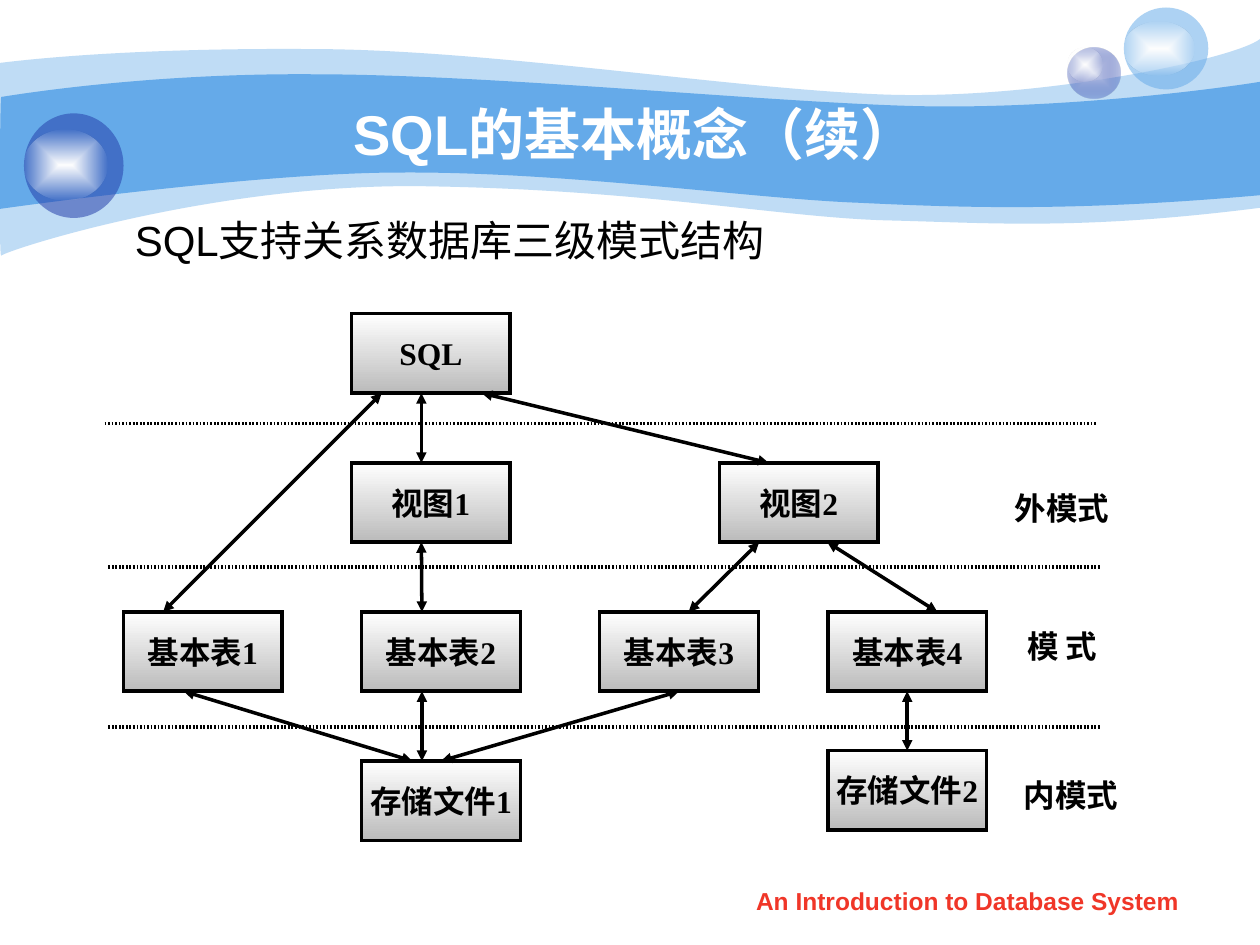
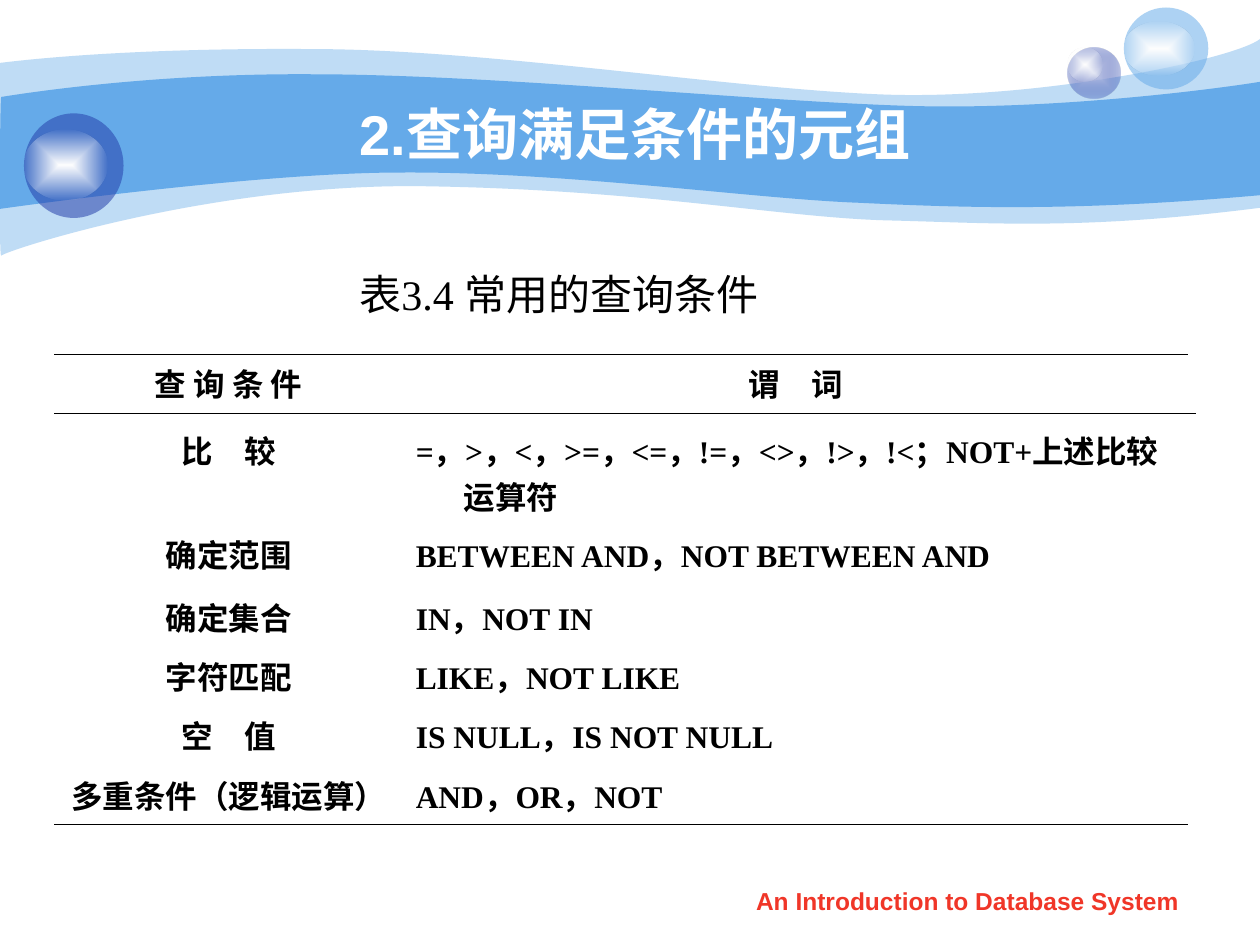
from pptx import Presentation
from pptx.dml.color import RGBColor
from pptx.enum.shapes import MSO_CONNECTOR, MSO_SHAPE
from pptx.enum.text import MSO_ANCHOR, MSO_AUTO_SIZE, PP_ALIGN
from pptx.oxml import parse_xml
from pptx.oxml.ns import nsdecls, qn
from pptx.util import Inches, Pt

# Slide grid: 10 columns by 7.5 rows of one unit
COLS, ROWS, UNIT = 10, 7.5, Inches(1)

BLACK, WHITE, SKY, NAVY, LILAC, GREY, RED = (
    "000000", "FFFFFF", "65AAE9", "233DA9", "C7CEE9", "BBBBBB", "F03628")
PLAIN_TABLE = "{2D5ABB26-0587-4C30-8999-92F81FD0307C}"

# Text formats
TITLE = {"name": "Arial", "size": Pt(32), "bold": True, "color": WHITE}
FOOTER = {"name": "Arial", "size": Pt(14), "bold": True, "color": RED}
LEAD = {"name": "Arial", "size": Pt(24), "bold": False, "color": BLACK}
CAPTION = {**LEAD, "name": "Times New Roman"}
LABEL = {"name": "Times New Roman", "size": Pt(18), "bold": True, "color": BLACK}
CENTER = {"alignment": PP_ALIGN.CENTER}

# Waves: start point, then curves (six numbers) or straight edges (two)
PALE_WAVE = [
    (0, 0.5), (0.24, 0.47, 1.07, 0.38, 2.47, 0.39),
    (3.86, 0.39, 5.75, 0.7, 6.99, 0.75), (8.22, 0.8, 9.8, 0.47, 10, 0.31),
    (10, 1.65), (8.58, 1.83, 7.87, 1.77, 7.05, 1.75),
    (6.22, 1.73, 5.15, 1.51, 3.43, 1.48), (1.72, 1.44, 0.04, 1.99, 0.01, 2.03),
    (-0.01, 2.08, 0, 0.75, 0, 0.5)]
BLUE_WAVE = [
    (0.01, 0.77), (0.02, 0.77, 1.1, 0.58, 2.48, 0.59),
    (3.86, 0.59, 5.95, 0.8, 7.18, 0.84), (8.41, 0.88, 9.76, 0.69, 10, 0.65),
    (10, 1.55), (8.53, 1.68, 7.65, 1.65, 6.82, 1.61),
    (5.99, 1.58, 4.47, 1.36, 3.17, 1.37), (2.03, 1.37, -0.02, 1.66, -0.01, 1.66),
    (0, 1.66, 0, 0.77, 0.01, 0.77)]

# Diagram: box name -> (left, level); arrows join shares of box widths
BOX_W, BOX_H, TOP, LEVEL = 1.26, 0.63, 2.49, 3.55 / 3
BOXES = {
    "SQL": (2.79, 0), "视图1": (2.79, 1), "视图2": (5.71, 1),
    "基本表1": (0.98, 2), "基本表2": (2.87, 2),
    "基本表3": (4.76, 2), "基本表4": (6.57, 2),
    "存储文件1": (2.87, 3), "存储文件2": (6.57, 2.93)}
ARROWS = [
    ("SQL", 0.19, "基本表1", 0.25), ("SQL", 0.44, "视图1", 0.44),
    ("SQL", 0.82, "视图2", 0.31), ("视图1", 0.44, "基本表2", 0.38),
    ("视图2", 0.25, "基本表3", 0.56), ("视图2", 0.68, "基本表4", 0.69),
    ("基本表1", 0.38, "存储文件1", 0.32), ("基本表2", 0.38, "存储文件1", 0.38),
    ("基本表3", 0.5, "存储文件1", 0.5), ("基本表4", 0.5, "存储文件2", 0.5)]
DIVIDERS = [(0.83, 3.36), (0.86, 4.5), (0.86, 5.77)]
SCHEMAS = [("外模式", 7.84, 3.83), ("模 式", 7.84, 4.93), ("内模式", 7.91, 6.11)]

CONDITIONS = [
    ("查 询 条 件", "谓　词"),
    ("比　较", "=，>，<，>=，<=，!=，<>，!>，!<；NOT+上述比较运算符"),
    ("确定范围", "BETWEEN AND，NOT BETWEEN AND"),
    ("确定集合", "IN，NOT IN"),
    ("字符匹配", "LIKE，NOT LIKE"),
    ("空　值", "IS NULL，IS NOT NULL"),
    ("多重条件（逻辑运算）", "AND，OR，NOT")]
COL_WIDTHS = [2.77, 6.23]
ROW_HEIGHTS = [0.53, 0.7, 0.5] + [0.47] * 4


def grid(*values):
    return [round(v * UNIT) for v in values]


def rgb(color):
    return RGBColor.from_string(color)


def element(tag, attrs="", inner=""):
    return parse_xml(f'<a:{tag} {nsdecls("a")} {attrs}>{inner}</a:{tag}>')


def write(tf, text, font, para=CENTER):
    p = tf.paragraphs[0]
    r = p.add_run()
    r.text = text
    for key, value in para.items():
        setattr(p, key, value)
    for key, value in font.items():
        if key == "color":
            r.font.color.rgb = rgb(value)
        else:
            setattr(r.font, key, value)
    return p


def set_alphas(shape, *alphas):
    for clr, alpha in zip(shape._element.spPr.iter(qn("a:srgbClr")), alphas):
        if alpha < 100:
            clr.append(element("alpha", f'val="{alpha * 1000}"'))


def solid(shape, color, alpha=100):
    shape.shadow.inherit = False
    shape.fill.solid()
    shape.fill.fore_color.rgb = rgb(color)
    shape.line.fill.background()
    set_alphas(shape, alpha)


def gradient(shape, start, end):
    shape.shadow.inherit = False
    shape.fill.gradient()
    shape.fill.gradient_angle = 270
    for stop, color in zip(shape.fill.gradient_stops, (start, end)):
        stop.color.rgb = rgb(color)


def glow(shape, start, end, end_alpha):
    """Gradient that spreads from the centre of the shape."""
    gradient(shape, start, end)
    shape.line.fill.background()
    set_alphas(shape, 100, end_alpha)
    lin = next(shape._element.spPr.iter(qn("a:lin")))
    lin.getparent().replace(lin, element(
        "path", 'path="rect"',
        '<a:fillToRect l="50000" t="50000" r="50000" b="50000"/>'))


def add_wave(s, outline, color, alpha=100):
    """Outline through all points, then each triple turned into a curve."""
    pairs = [list(zip(seg[::2], seg[1::2])) for seg in outline]
    fb = s.shapes.build_freeform(*grid(*outline[0]))
    fb.add_line_segments([grid(*pt) for seg in pairs[1:] for pt in seg])
    wave = fb.convert_to_shape()
    edges = iter(list(wave._element.spPr.iter(qn("a:lnTo"))))
    for seg in pairs[1:]:
        group = [next(edges) for _ in seg]
        if len(group) == 3:
            curve = element("cubicBezTo")
            group[0].addprevious(curve)
            for edge in group:
                curve.append(edge[0])
                edge.getparent().remove(edge)
    curve.addnext(element("close"))
    solid(wave, color, alpha)
    return wave


def add_ellipse(s, *box):
    return s.shapes.add_shape(MSO_SHAPE.OVAL, *grid(*box))


def add_backdrop(prs, s):
    """Draw the waves and balls, then hand them to the slide master."""
    parts = [add_wave(s, PALE_WAVE, SKY, 41), add_wave(s, BLUE_WAVE, SKY)]
    small = add_ellipse(s, 8.47, 0.38, 0.42, 0.4)
    glow(small, LILAC, NAVY, 31)
    big = add_ellipse(s, 8.92, 0.06, 0.67, 0.65)
    solid(big, SKY, 53)
    left = add_ellipse(s, 0.19, 0.9, 0.79, 0.83)
    solid(left, NAVY, 53)
    shines = [(8.47, 0.38, 0.28, 0.27), (8.92, 0.17, 0.56, 0.43),
              (0.19, 1.03, 0.66, 0.56)]
    for ball, box in zip((small, big, left), shines):
        shine = add_ellipse(s, *box)
        glow(shine, WHITE, WHITE, 0)
        parts += [ball, shine]
    tree = prs.slide_master.shapes._spTree
    for i, part in enumerate(parts):
        part._element.nvSpPr.cNvPr.set("id", str(100 + i))
        tree.insert(2 + i, part._element)


def add_text(s, text, font, box, para=CENTER, wrap=True, grow=True):
    tf = s.shapes.add_textbox(*grid(*box)).text_frame
    tf.word_wrap = wrap
    tf.auto_size = MSO_AUTO_SIZE.SHAPE_TO_FIT_TEXT if grow else MSO_AUTO_SIZE.NONE
    write(tf, text, font, para)


def add_slide(prs, title):
    s = prs.slides.add_slide(prs.slide_layouts[5])
    sp = s.shapes.title
    sp.left, sp.top, sp.width, sp.height = grid(1, 0.75, 8.08, 0.62)
    tf = sp.text_frame
    tf.auto_size = MSO_AUTO_SIZE.NONE
    tf.vertical_anchor = MSO_ANCHOR.MIDDLE
    write(tf, title, TITLE)
    add_text(s, "An Introduction to Database System", FOOTER,
             (5.71, 6.98, 3.94, 0.35), grow=False)
    return s


def add_line(s, start, end, width=2.0):
    cx = s.shapes.add_connector(MSO_CONNECTOR.STRAIGHT, *grid(*start, *end))
    cx.line.color.rgb = rgb(BLACK)
    cx.line.width = Pt(width)
    cx._element.spPr.append(element("effectLst"))
    return cx


def add_divider(s, x, y):
    ln = add_line(s, (x, y), (x + 7.88, y)).line._get_or_add_ln()
    ln.append(element("custDash", inner='<a:ds d="50000" sp="50000"/>'))


def box_origin(name):
    left, level = BOXES[name]
    return left, TOP + level * LEVEL


def add_box(s, name):
    sp = s.shapes.add_shape(MSO_SHAPE.RECTANGLE,
                            *grid(*box_origin(name), BOX_W, BOX_H))
    gradient(sp, WHITE, GREY)
    sp.line.color.rgb = rgb(BLACK)
    sp.line.width = Pt(2)
    sp.line._get_or_add_ln().append(element("miter", 'lim="800000"'))
    sp.text_frame.word_wrap = False
    sp.text_frame.vertical_anchor = MSO_ANCHOR.MIDDLE
    write(sp.text_frame, name, LABEL)
    return sp


def add_arrow(s, boxes, upper, share_up, lower, share_low):
    (x1, y1), (x2, y2) = box_origin(upper), box_origin(lower)
    cx = add_line(s, (x1 + share_up * BOX_W, y1 + BOX_H),
                  (x2 + share_low * BOX_W, y2))
    if share_up == 0.5:
        cx.begin_connect(boxes[upper], 2)
    if share_low == 0.5:
        cx.end_connect(boxes[lower], 0)
    for end in ("headEnd", "tailEnd"):
        cx.line._get_or_add_ln().append(element(end, 'type="triangle"'))


def add_border(cell, side):
    cell._tc.get_or_add_tcPr().insert(0, element(
        side, 'w="5715"',
        f'<a:solidFill><a:srgbClr val="{BLACK}"/></a:solidFill>'))


def add_conditions(s, left, top):
    tb = s.shapes.add_table(
        len(ROW_HEIGHTS), len(COL_WIDTHS),
        *grid(left, top, sum(COL_WIDTHS), sum(ROW_HEIGHTS))).table
    tb.first_row = tb.horz_banding = False
    next(tb._tbl.iter(qn("a:tableStyleId"))).text = PLAIN_TABLE
    for col, width in zip(tb.columns, grid(*COL_WIDTHS)):
        col.width = width
    for row, height in zip(tb.rows, grid(*ROW_HEIGHTS)):
        row.height = height
    hang = Inches(0.38)
    for i, texts in enumerate(CONDITIONS):
        for j, text in enumerate(texts):
            cell = tb.cell(i, j)
            cell.fill.background()
            centred = i == 0 or j == 0
            p = write(cell.text_frame, text, LABEL, CENTER if centred else {})
            pPr = p._p.get_or_add_pPr()
            pPr.set("marL", str(hang))
            pPr.set("indent", str(-hang))
            if i == 0:
                add_border(cell, "lnT")
            elif i == len(CONDITIONS) - 1:
                add_border(cell, "lnB")


def main():
    prs = Presentation()
    prs.slide_width, prs.slide_height = grid(COLS, ROWS)

    # Three-level schema diagram
    s = add_slide(prs, "SQL的基本概念（续）")
    add_backdrop(prs, s)
    boxes = {name: add_box(s, name) for name in BOXES}
    for arrow in ARROWS:
        add_arrow(s, boxes, *arrow)
    for x, y in DIVIDERS:
        add_divider(s, x, y)
    for text, x, y in SCHEMAS:
        add_text(s, text, LABEL, (x, y, 1.18, 0.4),
                 {**CENTER, "space_before": Pt(11.2)})
    add_text(s, "SQL支持关系数据库三级模式结构", LEAD, (0.93, 1.49, 5.28, 0.66),
             {**CENTER, "space_before": Pt(6), "line_spacing": 1.4}, wrap=False)

    # Table of query conditions
    s = add_slide(prs, "2.查询满足条件的元组")
    add_conditions(s, 0.43, 2.81)
    add_line(s, (0.43, 3.28), (9.49, 3.28), 0.75)
    add_text(s, "表3.4 常用的查询条件", CAPTION, (2.3, 2.08, 4.27, 0.5), wrap=False)

    prs.save("out.pptx")


if __name__ == "__main__":
    main()
